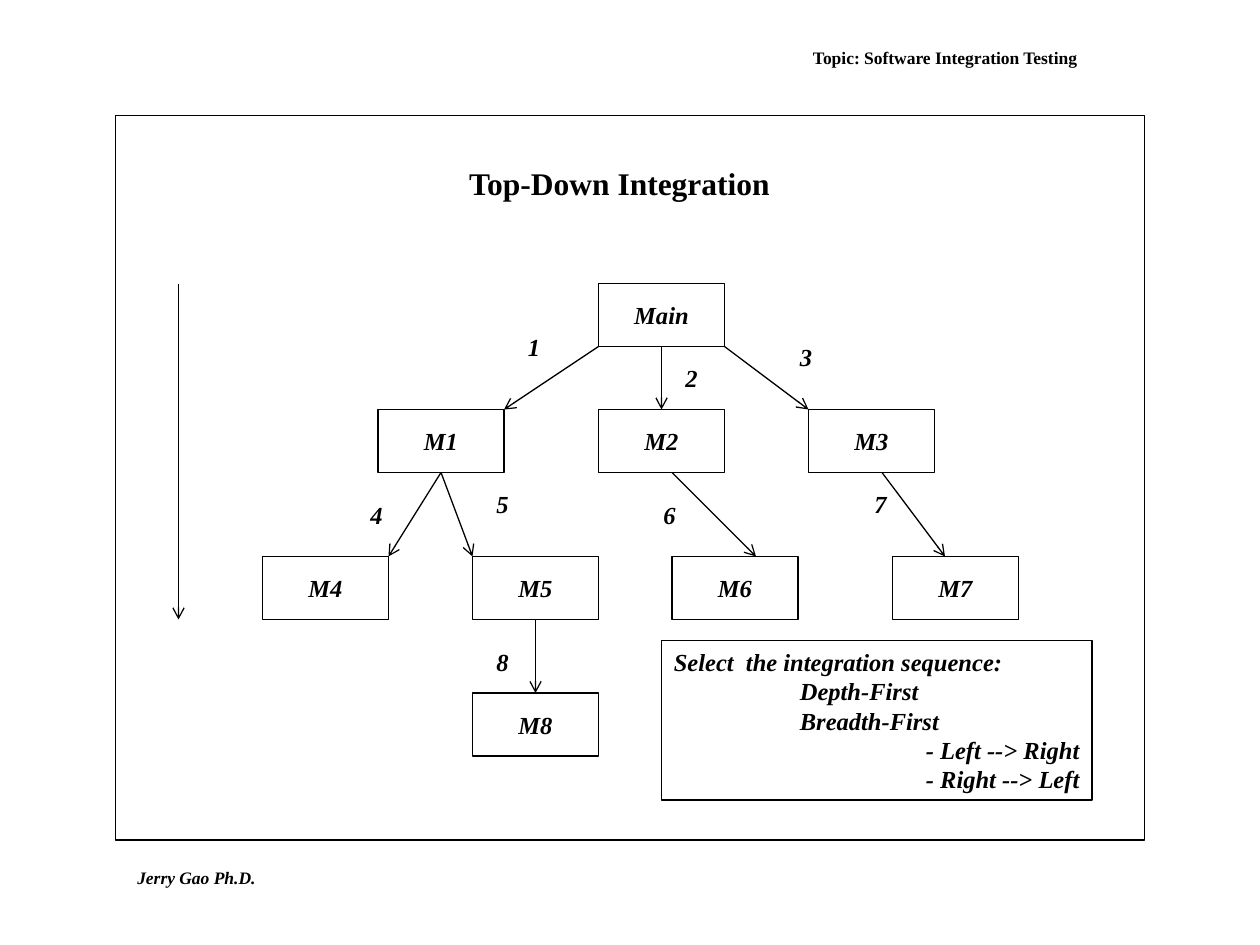
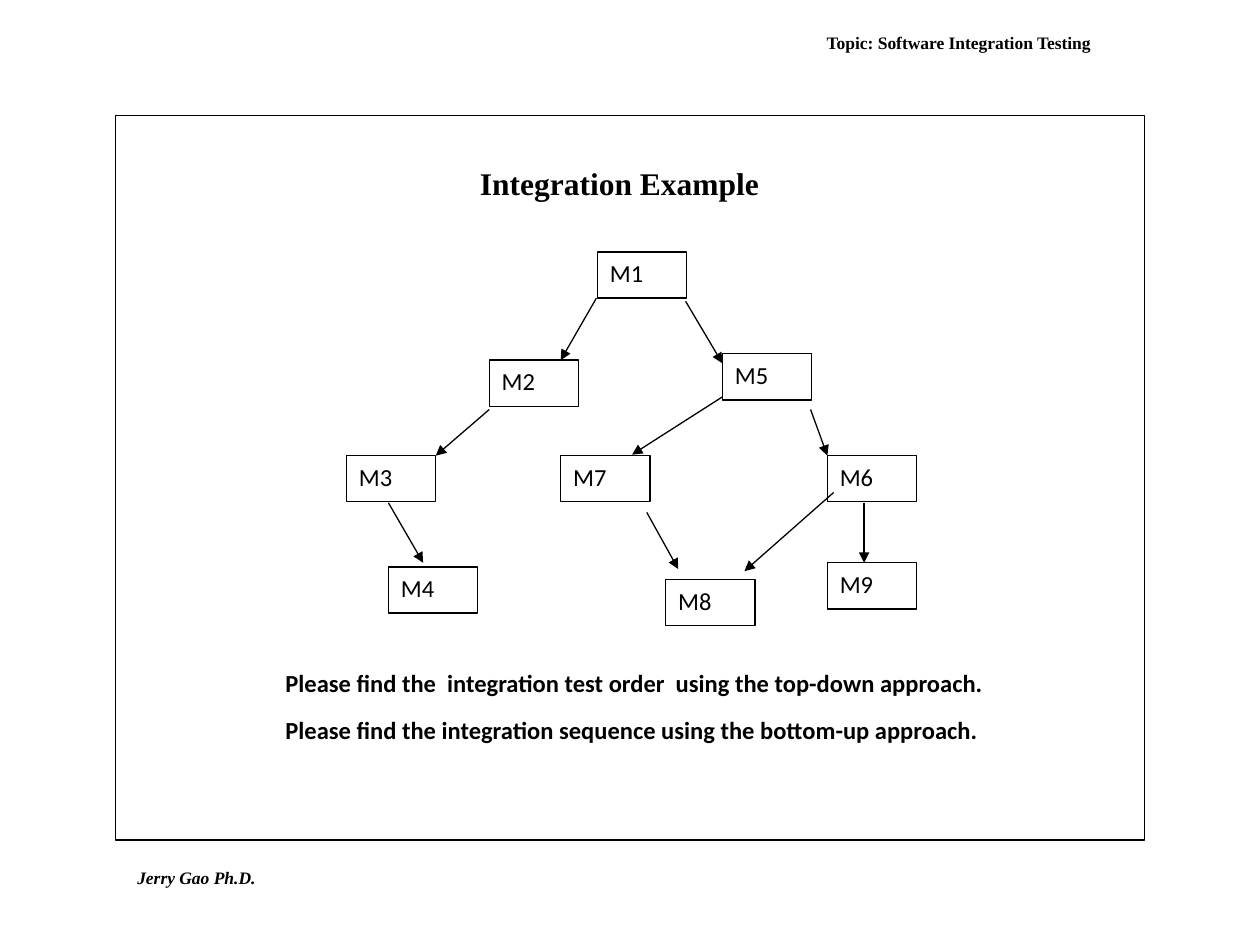
from lxml import etree
from pptx import Presentation
from pptx.dml.color import RGBColor
from pptx.enum.shapes import MSO_CONNECTOR, MSO_SHAPE
from pptx.enum.text import MSO_ANCHOR, MSO_AUTO_SIZE, PP_ALIGN
from pptx.oxml.ns import qn
from pptx.util import Emu, Pt

RECT, LINE = MSO_SHAPE.RECTANGLE, MSO_CONNECTOR.STRAIGHT
TOP, MID = MSO_ANCHOR.TOP, MSO_ANCHOR.MIDDLE
LEFT, CENTER = PP_ALIGN.LEFT, PP_ALIGN.CENTER
SERIF, SANS = "Times New Roman", "Calibri"
BLACK, WHITE = "000000", "FFFFFF"
UNIT = 7620  # 120 px to the inch

# Shared content
TOPIC = "Topic: Software Integration Testing"
AUTHOR = "Jerry Gao Ph.D."
FRAME = (110, 110, 980, 690)
TITLE = (190, 150, 800, 48)
FOOT = (119, 820, 137, 32)

# Slide 1: modules, then calls as (label, label place, from, x on its
# bottom side, to, x on its top side)
SIZE = (120, 60)
PLAN = {
    "Main": (570, 270),
    "M1": (360, 390), "M2": (570, 390), "M3": (770, 390),
    "M4": (250, 530), "M5": (450, 530), "M6": (640, 530), "M7": (850, 530),
    "M8": (450, 660),
}
CALLS = [
    ("1", (491, 310), "Main", 0, "M1", 120),
    ("2", (641, 340), "Main", 60, "M2", 60),
    ("3", (750, 320), "Main", 120, "M3", 0),
    ("4", (341, 470), "M1", 60, "M4", 120),
    ("5", (461, 460), "M1", 60, "M5", 0),
    ("6", (620, 470), "M2", 70, "M6", 80),
    ("7", (821, 460), "M3", 70, "M7", 50),
    ("8", (461, 610), "M5", 60, "M8", 60),
]
ORDER = [
    (0, "Select  the integration sequence:"),
    (1, "Depth-First"),
    (1, "Breadth-First"),
    (2, "- Left --> Right"),
    (2, "- Right --> Left"),
]

# Slide 2: modules and arrows
SMALL = (85, 44)
TREE = {
    "M1": (569, 240), "M2": (466, 343), "M3": (330, 434),
    "M7": (534, 434), "M6": (788, 434), "M4": (370, 540),
    "M9": (788, 536), "M5": (688, 337), "M8": (634, 552),
}
ARROWS = [
    ((568, 284), (534, 343)), ((653, 287), (688, 346)),
    ((466, 390), (415, 434)), ((370, 479), (403, 536)),
    ((772, 390), (788, 434)), ((794, 469), (709, 544)),
    ((616, 488), (646, 542)), ((823, 479), (823, 536)),
    ((688, 378), (602, 433)),
]
TASKS = [
    (0, "Please find the  integration test order  using the top-down approach."),
    (0, "Please find the integration sequence using the bottom-up approach."),
]


def px(*vals):
    return [Emu(v * UNIT) for v in vals]


def color(code):
    return RGBColor.from_string(code)


def write(shape, rows, size=14, face=SERIF, bold=True, slant=False,
          align=LEFT, anchor=TOP, wrap=True, after=0):
    """Fill a shape with (indent in inches, text) rows."""
    frame = shape.text_frame
    frame.text = "\n".join(text for _, text in rows)
    frame.auto_size = MSO_AUTO_SIZE.NONE
    frame.word_wrap = wrap
    frame.vertical_anchor = anchor
    frame.margin_left = frame.margin_right = Emu(12 * UNIT)
    frame.margin_top = frame.margin_bottom = Emu(6 * UNIT)
    for para, (depth, _) in zip(frame.paragraphs, rows):
        if depth:
            para._p.get_or_add_pPr().set("marL", str(depth * 120 * UNIT))
        para.alignment = align
        para.space_before, para.space_after = Pt(0), Pt(after)
        for run in para.runs:
            font = run.font
            font.name, font.size = face, Pt(size)
            font.bold, font.italic = bold, slant
            font.color.rgb = color(BLACK)


def label(slide, box, text, **style):
    write(slide.shapes.add_textbox(*px(*box)), [(0, text)], **style)


def block(slide, box, fill=None):
    shape = slide.shapes.add_shape(RECT, *px(*box))
    shape.shadow.inherit = False
    if fill:
        shape.fill.solid()
        shape.fill.fore_color.rgb = color(fill)
    else:
        shape.fill.background()
    shape.line.color.rgb = color(BLACK)
    shape.line.width = Pt(0.75)
    return shape


def arrow(slide, start, end, head):
    link = slide.shapes.add_connector(LINE, *px(*start, *end))
    link.line.color.rgb = color(BLACK)
    link.line.width = Pt(0.75)
    tail = etree.SubElement(link.line._get_or_add_ln(), qn("a:tailEnd"))
    tail.set("type", head)
    etree.SubElement(link._element.spPr, qn("a:effectLst"))
    return link


def base(deck, title, place):
    """Add a slide with its title, frame, topic and footer."""
    slide = deck.slides.add_slide(deck.slide_layouts[5])
    head = slide.shapes.title
    head.left, head.top, head.width, head.height = px(*TITLE)
    write(head, [(0, title)], size=18, align=CENTER)
    block(slide, FRAME)
    label(slide, (*place, 360, 30), TOPIC, size=10, align=CENTER, anchor=MID)
    label(slide, FOOT, AUTHOR, size=10, slant=True, wrap=False)
    return slide


def topdown(deck):
    slide = base(deck, "Top-Down Integration", (720, 40))
    wide, high = SIZE
    nodes = {}
    for name, spot in PLAN.items():
        nodes[name] = block(slide, spot + SIZE, WHITE)
        write(nodes[name], [(0, name)], slant=True, align=CENTER,
              anchor=MID, wrap=False)

    # Numbered calls, joined where they meet the middle of a side
    for num, spot, src, out, dest, into in CALLS:
        (x1, y1), (x2, y2) = PLAN[src], PLAN[dest]
        link = arrow(slide, (x1 + out, y1 + high), (x2 + into, y2), "arrow")
        if out == wide // 2:
            link.begin_connect(nodes[src], 2)
        if into == wide // 2:
            link.end_connect(nodes[dest], 0)
        label(slide, (*spot, 36, 41), num, slant=True, wrap=False)

    # Direction arrow and sequence box
    arrow(slide, (170, 270), (170, 590), "arrow")
    note = block(slide, (630, 610, 410, 152))
    write(note, ORDER, slant=True, wrap=False)


def example(deck):
    slide = base(deck, "Integration Example", (733, 25))
    for name, spot in TREE.items():
        node = block(slide, spot + SMALL, WHITE)
        write(node, [(0, name)], face=SANS, bold=False, after=10)
    for start, end in ARROWS:
        arrow(slide, start, end, "triangle")
    tasks = slide.shapes.add_textbox(*px(260, 630, 690, 110))
    write(tasks, TASKS, face=SANS, after=10)


def main():
    deck = Presentation()
    deck.slide_width, deck.slide_height = px(1200, 900)
    topdown(deck)
    example(deck)
    deck.save("out.pptx")


if __name__ == "__main__":
    main()
